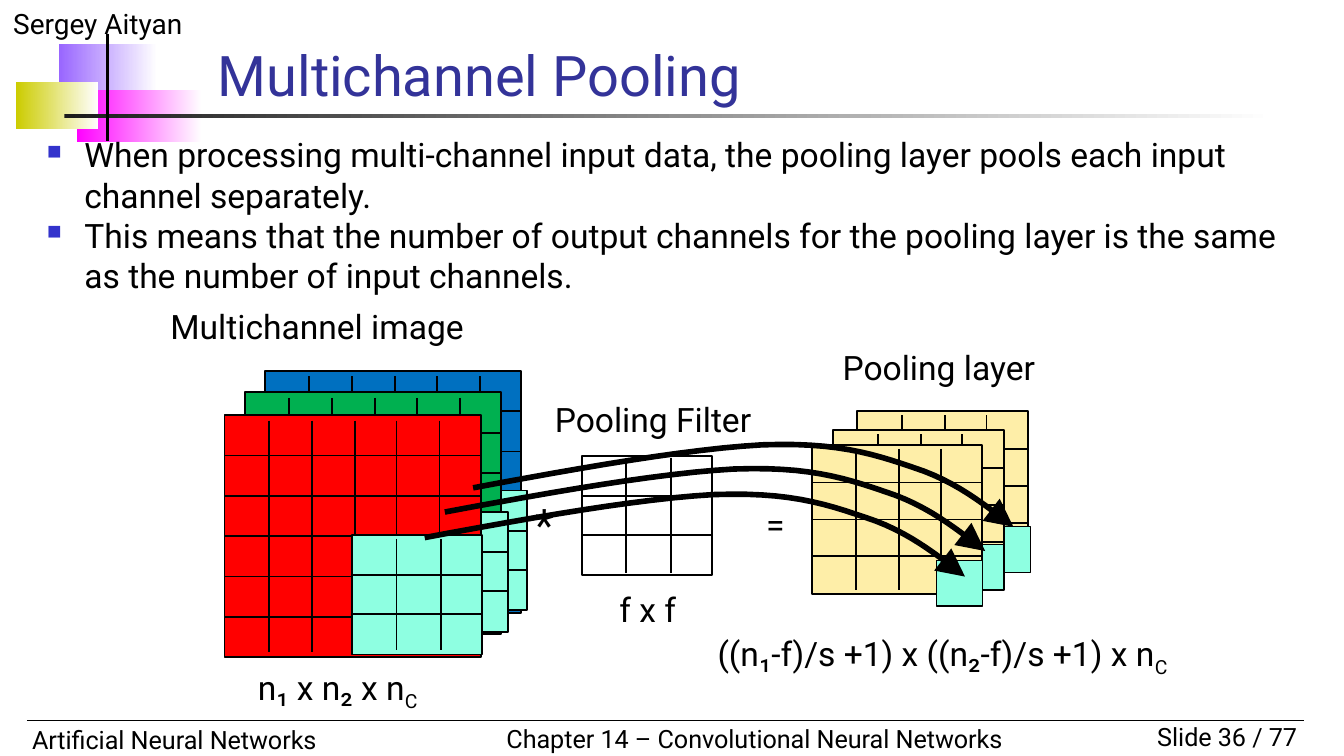
from pptx import Presentation
from pptx.dml.color import RGBColor
from pptx.enum.shapes import MSO_CONNECTOR, MSO_SHAPE
from pptx.enum.text import MSO_ANCHOR, PP_ALIGN
from pptx.oxml.ns import qn
from pptx.util import Pt
from lxml import etree

PX = 9144  # 100 px to the inch
RECT, STRAIGHT = MSO_SHAPE.RECTANGLE, MSO_CONNECTOR.STRAIGHT
LEFT, CENTER, RIGHT = PP_ALIGN.LEFT, PP_ALIGN.CENTER, PP_ALIGN.RIGHT
FONT = "Roboto"
C = {"black": "000000", "white": "FFFFFF", "title": "333399", "bullet": "3333CC",
     "violet": "9966FF", "magenta": "FF00FF", "olive": "CCCC00", "rule": "1C1C1C",
     "red": "FF0000", "green": "00B050", "blue": "0070C0",
     "window": "8EFFE1", "pool": "FEEEA8"}

TITLE = "Multichannel Pooling"
BULLETS = [
    "When processing multi-channel input data, the pooling layer pools each input "
    "channel separately.",
    "This means that the number of output channels for the pooling layer is the same "
    "as the number of input channels.",
]
GRADIENTS = [  # left, top, width, height, colour
    (44, 33, 73, 39, "violet"), (57, 67, 93, 39, "magenta"),
    (12, 61, 61, 35, "olive"), (48, 85, 900, 3, "rule"),
]
FRAME_LINES = [((20, 536), (970, 536), 0.75), ((80, 25), (80, 105), 2)]
FRAME_TEXTS = [
    ("Sergey Aityan", (0, 0, 250, 35), {"size": 15}),
    ("Slide 36 / 77", (825, 532, 150, 33), {"size": 13.5, "align": RIGHT}),
    ("Artificial Neural Networks", (14, 534, 370, 33), {"size": 13.5}),
    ("Chapter 14 – Convolutional Neural Networks", (367, 533, 391, 33),
     {"size": 13.5, "wrap": False}),
]
LABELS = [
    ("Multichannel image", (117, 223, 243, 39), {}),
    ("n₁ x n₂ x n", (182, 491, 177, 39), {"sub": "C"}),
    ("Pooling Filter", (403, 292, 166, 39), {}),
    ("f x f", (451, 433, 78, 40), {}),
    ("Pooling layer", (603, 253, 191, 39), {"align": CENTER}),
    ("((n₁-f)/s +1) x ((n₂-f)/s +1) x n", (524, 466, 401, 39), {"sub": "C"}),
    ("=", (560, 375, 34, 26), {"align": CENTER, "inset": 0}),
    ("*", (388, 365, 44, 50), {"size": 24}),
]
CHANNELS = [  # colour, channel corner, window corner, window columns shown
    ("blue", (197, 276), (295, 365), 1),
    ("green", (182, 292), (281, 381), 1),
    ("red", (167, 309), (262, 398), 3),
]
POOL_LAYERS = [  # layer corner, output cell corner
    ((638, 306), (733, 392)), ((620, 320), (713, 405)), ((604, 331), (697, 417)),
]
CHANNEL_SIZE, FILTER_SIZE, POOL_SIZE, CELL_SIZE = (191, 180), (97, 89), (127, 111), (34, 34)
FILTER_CORNER = (433, 339)
ARROW_STARTS = [(316, 400), (352, 363), (331, 381)]
ARROW_CURVE = [  # cubic Bezier pieces, relative to the start
    ((0, 0), (80, -15), (160, -29), (215, -32)),
    ((215, -32), (269, -34), (296, -26), (328, -15)),
    ((328, -15), (359, -5), (380, 12), (402, 29)),
]
CURVE_STEPS = 12

prs = Presentation()
prs.slide_width = 1000 * PX
prs.slide_height = prs.slide_width * 9 // 16
slide = prs.slides.add_slide(prs.slide_layouts[5])
shapes = slide.shapes


def rgb(name):
    return RGBColor.from_string(C[name])


def emu(*lengths):
    return [v * PX for v in lengths]


def write(p, text, size=18, color="black", align=LEFT, sub=None):
    """Fill a paragraph; sub is a trailing subscript."""
    p.alignment = align
    for part in filter(None, (text, sub)):
        r = p.add_run()
        r.text = part
        r.font.name, r.font.size = FONT, Pt(size)
        r.font.color.rgb = rgb(color)
        if part == sub:
            r.font._element.set("baseline", "-25000")


def add_text(text, box, wrap=True, inset=None, **fmt):
    tf = shapes.add_textbox(*emu(*box)).text_frame
    tf.word_wrap = wrap
    if inset is not None:
        tf.margin_left = tf.margin_right = tf.margin_top = tf.margin_bottom = inset
    write(tf.paragraphs[0], text, **fmt)


def add_bullet(p):
    pPr = p._p.get_or_add_pPr()
    pPr.set("marL", str(28 * PX))
    pPr.set("indent", str(-28 * PX))
    clr = etree.SubElement(pPr, qn("a:buClr"))
    etree.SubElement(clr, qn("a:srgbClr"), val=C["bullet"])
    etree.SubElement(pPr, qn("a:buSzPct"), val="60000")
    etree.SubElement(pPr, qn("a:buChar"), char="■")


def add_rect(x, y, w, h, fill, weight=1):
    s = shapes.add_shape(RECT, *emu(x, y, w, h))
    s.shadow.inherit = False
    s.fill.solid()
    s.fill.fore_color.rgb = rgb(fill)
    s.line.color.rgb = rgb("black")
    s.line.width = Pt(weight)
    return s


def add_gradient(x, y, w, h, color):
    s = add_rect(x, y, w, h, color)
    s.line.fill.background()
    s.fill.gradient()
    s.fill.gradient_angle = 0
    for stop, name in zip(s.fill.gradient_stops, (color, "white")):
        stop.color.rgb = rgb(name)


def add_line(start, end, weight=1):
    c = shapes.add_connector(STRAIGHT, *emu(*start, *end))
    c.line.color.rgb = rgb("black")
    c.line.width = Pt(weight)
    etree.SubElement(c._element.spPr, qn("a:effectLst"))
    return c


def add_grid(corner, size, fill, rows, cols, gap):
    """Rectangle with full row lines and column lines kept gap px from its edges."""
    (x, y), (w, h) = corner, size
    s = add_rect(x, y, w, h, fill)
    for i in range(1, rows):
        row_y = y + round(h * i / rows)
        c = add_line((x, row_y), (x + w, row_y))
        if 2 * i == rows:
            c.begin_connect(s, 1)
            c.end_connect(s, 3)
    for i in range(1, cols):
        col_x = x + 1 + round(w * i / cols)
        add_line((col_x, y + gap), (col_x, y + h - gap))


def bezier(points, t):
    weights = ((1 - t) ** 3, 3 * t * (1 - t) ** 2, 3 * t * t * (1 - t), t ** 3)
    return [sum(k * p[axis] for k, p in zip(weights, points)) for axis in (0, 1)]


def add_curved_arrow(x, y):
    points = [bezier(piece, i / CURVE_STEPS)
              for piece in ARROW_CURVE for i in range(1, CURVE_STEPS + 1)]
    builder = shapes.build_freeform(x * PX, y * PX)
    builder.add_line_segments(
        [(round((x + dx) * PX), round((y + dy) * PX)) for dx, dy in points], close=False)
    s = builder.convert_to_shape()
    s.shadow.inherit = False
    s.fill.background()
    s.line.color.rgb = rgb("black")
    s.line.width = Pt(3)
    etree.SubElement(s.line._get_or_add_ln(), qn("a:tailEnd"),
                     type="triangle", w="lg", len="lg")


for gradient in GRADIENTS:
    add_gradient(*gradient)
for text, box, fmt in FRAME_TEXTS:
    add_text(text, box, **fmt)
for line in FRAME_LINES:
    add_line(*line)

title = shapes.title
title.left, title.top, title.width, title.height = emu(152, 31, 735, 54)
title.text_frame.vertical_anchor = MSO_ANCHOR.BOTTOM
write(title.text_frame.paragraphs[0], TITLE, size=30, color="title")

tf = shapes.add_textbox(*emu(25, 95, 950, 67)).text_frame
tf.word_wrap = True
for i, text in enumerate(BULLETS):
    p = tf.add_paragraph() if i else tf.paragraphs[0]
    write(p, text)
    add_bullet(p)

for color, corner, window, cols in CHANNELS:
    add_grid(corner, CHANNEL_SIZE, color, 6, 6, 4)
    add_grid(window, FILTER_SIZE, "window", 3, cols, 3)
add_grid(FILTER_CORNER, FILTER_SIZE, "white", 3, 3, 2)
for corner, cell in POOL_LAYERS:
    add_grid(corner, POOL_SIZE, "pool", 4, 4, 3)
    add_rect(*cell, *CELL_SIZE, "window", 0.75)
for text, box, fmt in LABELS:
    add_text(text, box, **fmt)
for start in ARROW_STARTS:
    add_curved_arrow(*start)

prs.save("out.pptx")
